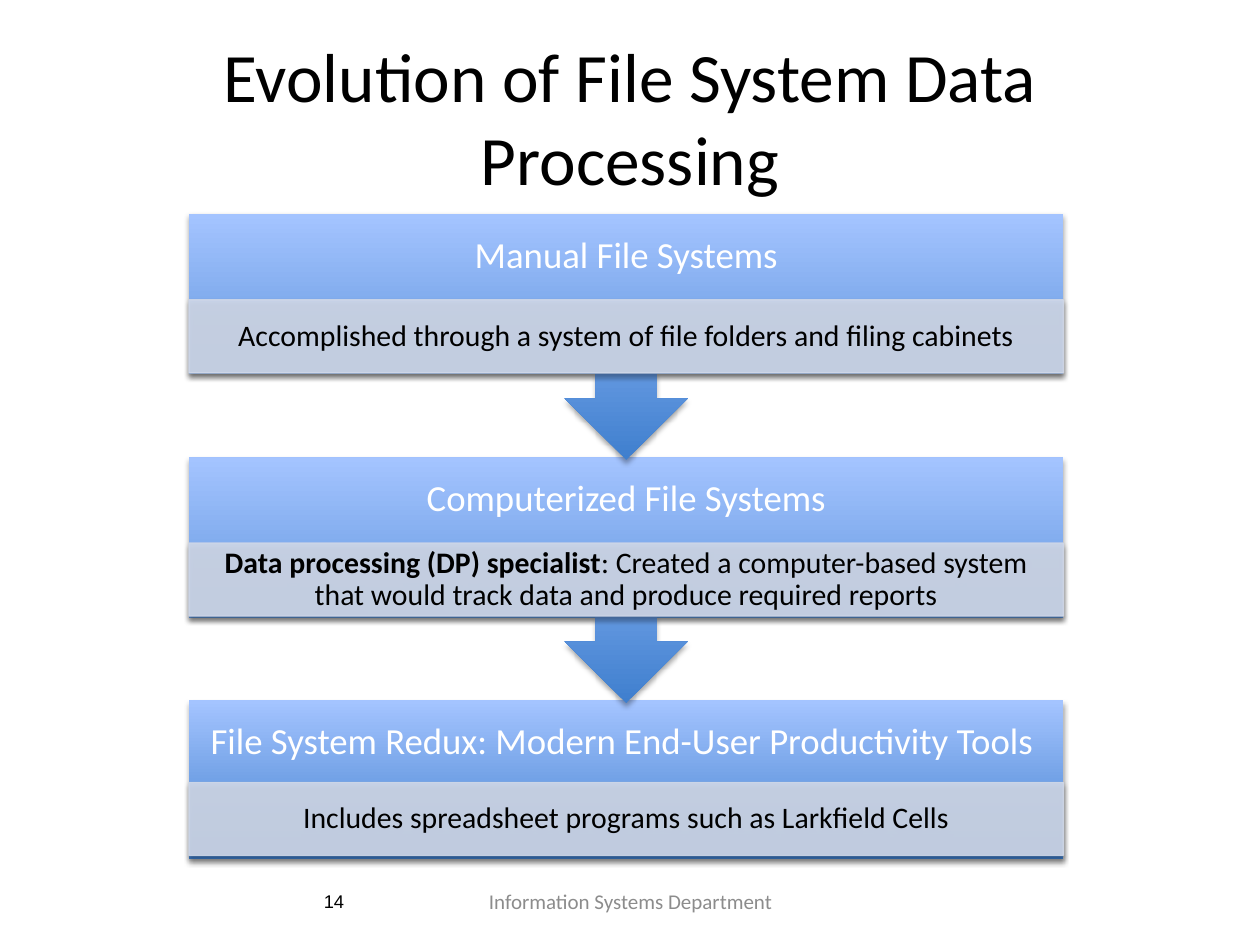
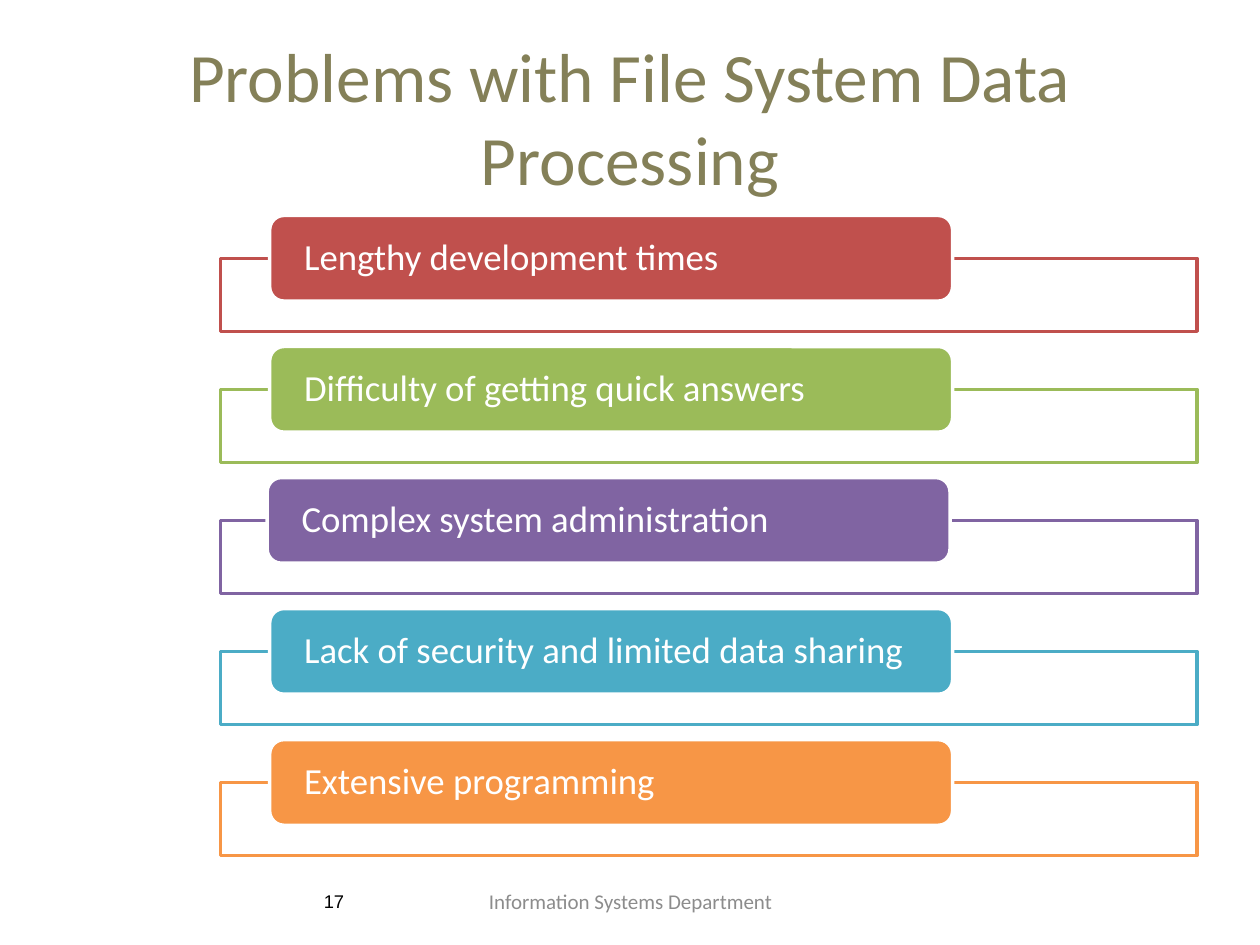
from dataclasses import dataclass
from lxml.etree import SubElement
from pptx import Presentation
from pptx.dml.color import RGBColor
from pptx.enum.shapes import MSO_SHAPE
from pptx.enum.text import MSO_ANCHOR, PP_ALIGN
from pptx.oxml.ns import qn
from pptx.shapes.autoshape import Shape
from pptx.slide import Slide
from pptx.util import Inches, Pt

WIDTH, HEIGHT = Inches(10), Inches(7.5)
COLUMN, ROW = WIDTH / 100, HEIGHT / 75
COLORS = {
    "white": "FFFFFF",
    "black": "000000",
    "olive": "848058",
    "gray": "8C8C8C",
    "sky": "A4C4FF",
    "blue": "3F7FCE",
    "mist": "D0D8E8",
    "red": "C0504D",
    "green": "9BBB59",
    "purple": "8064A2",
    "teal": "4BACC6",
    "orange": "F79646",
}
STAGE_PITCH = 19.3
PROBLEM_PITCH = 10.4
HEADING_ROWS = 6.8
DETAIL_ROWS = 5.8


@dataclass(frozen=True)
class Area:
    left: float
    top: float
    width: float
    height: float

    def box(self) -> tuple[int, int, int, int]:
        return (round(self.left * COLUMN), round(self.top * ROW),
                round(self.width * COLUMN), round(self.height * ROW))


@dataclass(frozen=True)
class Span:
    text: str
    bold: bool = False


@dataclass(frozen=True)
class Style:
    size: float
    color: str
    align: PP_ALIGN = PP_ALIGN.CENTER
    font: str = "Calibri"
    spacing: float = 1.0
    margins: tuple[float, float, float, float] = (1, 0.5, 1, 0.5)


@dataclass(frozen=True)
class Stage:
    heading: str
    detail: tuple[Span, ...]
    shape: MSO_SHAPE = MSO_SHAPE.DOWN_ARROW_CALLOUT
    height: float = 19.5
    detail_offset: float = HEADING_ROWS


@dataclass(frozen=True)
class Problem:
    text: str
    color: str
    left: float = 21.4


STAGES = (
    Stage("Manual File Systems",
          (Span("Accomplished through a system of file folders and filing cabinets"),)),
    Stage("Computerized File Systems",
          (Span("Data processing (DP) specialist", True),
           Span(": Created a computer-based system that would track data "
                "and produce required reports"))),
    Stage("File System Redux: Modern End-User Productivity Tools ",
          (Span("Includes spreadsheet programs such as Larkfield Cells"),),
          MSO_SHAPE.RECTANGLE, 12.6, 6.5),
)
PROBLEMS = (
    Problem("Lengthy development times", "red"),
    Problem("Difficulty of getting quick answers", "green"),
    Problem("Complex system administration", "purple", 21.2),
    Problem("Lack of security and limited data sharing", "teal"),
    Problem("Extensive programming", "orange"),
)
TITLE_AREA = Area(5, 3, 90, 12.5)
NUMBER_AREA = Area(5, 69.5, 23.3, 4)
FOOTER_AREA = Area(34.2, 69.5, 31.7, 4)
NUMBER_STYLE = Style(10.5, "black", PP_ALIGN.RIGHT, "Arial")
FOOTER_STYLE = Style(12, "gray")
HEADING_STYLE = Style(21, "white", spacing=0.9, margins=(1.6, 1.6, 1.6, 7.5))
DETAIL_STYLE = Style(17, "black", spacing=0.9, margins=(1.3, 0.2, 1.3, 0.2))
PROBLEM_STYLE = Style(21, "white", PP_ALIGN.LEFT, spacing=0.9, margins=(2.4, 0, 2.4, 0))


def rgb(name: str) -> RGBColor:
    return RGBColor.from_string(COLORS[name])


def write(shape: Shape, spans: tuple[Span, ...], style: Style) -> None:
    frame = shape.text_frame
    frame.word_wrap = True
    frame.vertical_anchor = MSO_ANCHOR.MIDDLE
    left, top, right, bottom = style.margins
    frame.margin_left, frame.margin_right = round(left * COLUMN), round(right * COLUMN)
    frame.margin_top, frame.margin_bottom = round(top * ROW), round(bottom * ROW)
    para = frame.paragraphs[0]
    para.alignment = style.align
    para.line_spacing = style.spacing
    for span in spans:
        run = para.add_run()
        run.text = span.text
        run.font.name = style.font
        run.font.size = Pt(style.size)
        run.font.bold = span.bold
        run.font.color.rgb = rgb(style.color)


def add_text(page: Slide, area: Area, text: str, style: Style) -> None:
    write(page.shapes.add_textbox(*area.box()), (Span(text),), style)


def add_block(page: Slide, kind: MSO_SHAPE, area: Area, fill: str,
              line: str, weight: float) -> Shape:
    shape = page.shapes.add_shape(kind, *area.box())
    shape.shadow.inherit = False
    shape.fill.solid()
    shape.fill.fore_color.rgb = rgb(fill)
    shape.line.color.rgb = rgb(line)
    shape.line.width = Pt(weight)
    return shape


def set_opacity(parent, percent: int) -> None:
    color = parent.find(qn("a:solidFill")).find(qn("a:srgbClr"))
    SubElement(color, qn("a:alpha"), val=str(percent * 1000))


def cast_shadow(shape: Shape) -> None:
    shape.shadow.inherit = False
    effects = shape._element.spPr.find(qn("a:effectLst"))
    shadow = SubElement(effects, qn("a:outerShdw"), blurRad=str(Pt(3.1)),
                        dist=str(Pt(1.8)), dir="5400000", rotWithShape="0")
    color = SubElement(shadow, qn("a:srgbClr"), val=COLORS["black"])
    SubElement(color, qn("a:alpha"), val="35000")


def add_stage(page: Slide, stage: Stage, top: float) -> None:
    callout = page.shapes.add_shape(stage.shape, *Area(15, top, 69.4, stage.height).box())
    callout.fill.gradient()
    callout.fill.gradient_angle = 90
    for stop, name in zip(callout.fill.gradient_stops, ("blue", "sky")):
        stop.color.rgb = rgb(name)
    callout.line.fill.background()
    cast_shadow(callout)
    write(callout, (Span(stage.heading),), HEADING_STYLE)

    detail_area = Area(15, top + stage.detail_offset, 69.4, DETAIL_ROWS)
    detail = add_block(page, MSO_SHAPE.RECTANGLE, detail_area, "mist", "mist", 0.75)
    properties = detail._element.spPr
    set_opacity(properties, 90)
    set_opacity(properties.find(qn("a:ln")), 90)
    cast_shadow(detail)
    write(detail, stage.detail, DETAIL_STYLE)


def add_problem(page: Slide, problem: Problem, top: float) -> None:
    frame = add_block(page, MSO_SHAPE.RECTANGLE, Area(17.5, top + 3.4, 77.5, DETAIL_ROWS),
                      "white", problem.color, 2)
    set_opacity(frame._element.spPr, 90)
    label = add_block(page, MSO_SHAPE.ROUNDED_RECTANGLE,
                      Area(problem.left, top, 54.2, HEADING_ROWS),
                      problem.color, "white", 2)
    write(label, (Span(problem.text),), PROBLEM_STYLE)


def add_page(deck, title: str, title_color: str, number: int) -> Slide:
    page = deck.slides.add_slide(deck.slide_layouts[6])
    add_text(page, TITLE_AREA, title, Style(39.6, title_color))
    add_text(page, NUMBER_AREA, str(number), NUMBER_STYLE)
    add_text(page, FOOTER_AREA, "Information Systems Department", FOOTER_STYLE)
    return page


def main() -> None:
    deck = Presentation()
    deck.slide_width, deck.slide_height = WIDTH, HEIGHT

    evolution = add_page(deck, "Evolution of File System Data Processing", "black", 14)
    for index, stage in reversed(list(enumerate(STAGES))):
        add_stage(evolution, stage, 17 + index * STAGE_PITCH)

    problems = add_page(deck, "Problems with File System Data Processing", "olive", 17)
    for index, problem in enumerate(PROBLEMS):
        add_problem(problems, problem, 17.1 + index * PROBLEM_PITCH)

    deck.save("out.pptx")


if __name__ == "__main__":
    main()
